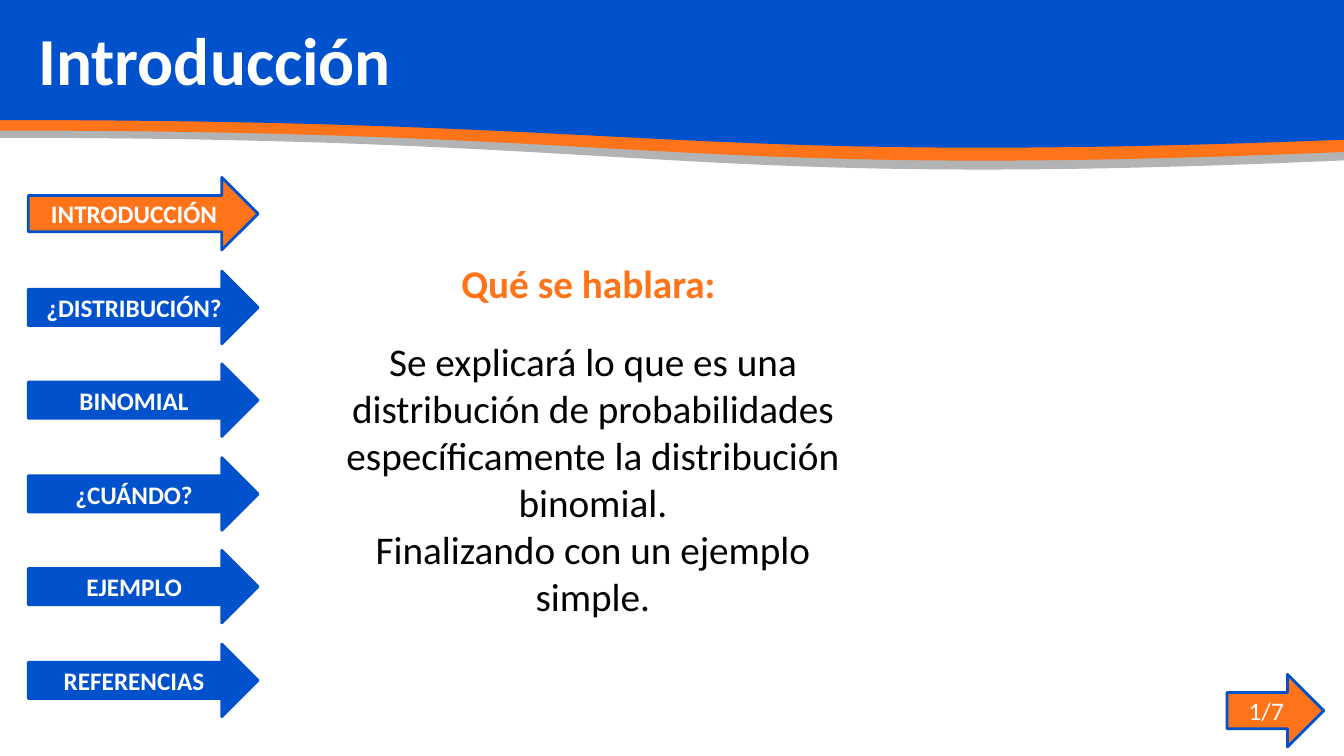
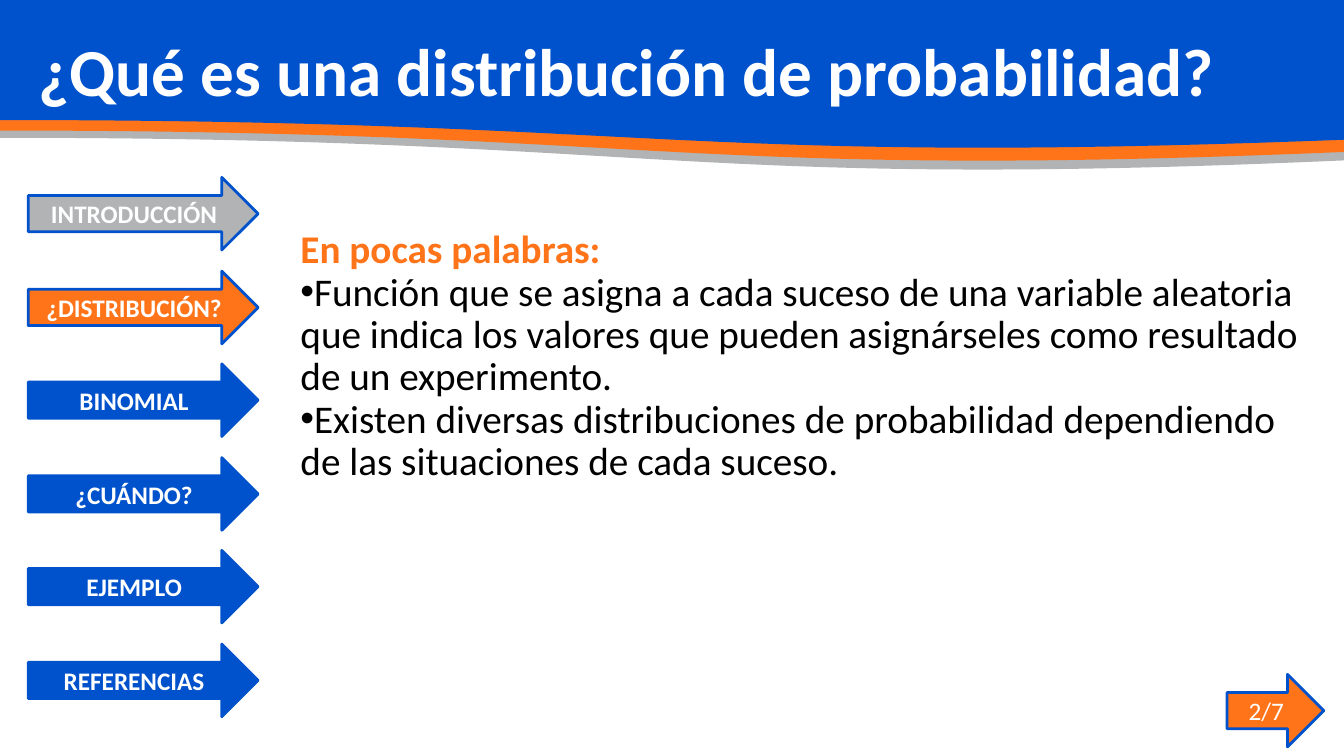
from dataclasses import dataclass
from typing import Any, NamedTuple

from lxml import etree
from pptx import Presentation
from pptx.dml.color import RGBColor
from pptx.enum.shapes import MSO_SHAPE
from pptx.enum.text import MSO_ANCHOR, MSO_AUTO_SIZE, PP_ALIGN
from pptx.oxml.ns import qn
from pptx.util import Emu, Pt

PX = 9144  # EMU per px, 100 px to the inch
FONT = "Calibri"
COLORS = {
    "blue": "0052CC",
    "orange": "FF7319",
    "gray": "B1B3B4",
    "white": "FFFFFF",
    "black": "000000",
}
ARROW = MSO_SHAPE.RIGHT_ARROW
WAVE = MSO_SHAPE.FLOWCHART_DOCUMENT
LEFT, CENTER = PP_ALIGN.LEFT, PP_ALIGN.CENTER
MIDDLE, TOP, BOTTOM = MSO_ANCHOR.MIDDLE, MSO_ANCHOR.TOP, MSO_ANCHOR.BOTTOM
NO_AUTOFIT = MSO_AUTO_SIZE.NONE
TITLE_AND_CONTENT = 1


class Box(NamedTuple):
    left: int
    top: int
    width: int
    height: int

    def emu(self) -> list[Emu]:
        return [Emu(length * PX) for length in self]


class Band(NamedTuple):
    color: str
    height: int


@dataclass(frozen=True)
class Topic:
    title: str
    title_anchor: Any
    title_spacing: float
    heading: str
    heading_gap: int
    paragraphs: tuple[str, ...]
    body_box: Box
    align: Any
    spacing: float
    bulleted: bool


SLIDE_WIDTH, SLIDE_HEIGHT = 1333, 750
BANDS = (Band("gray", 170), Band("orange", 161), Band("blue", 148))
TITLE_BOX = Box(28, 12, 1197, 102)
PAGE_BOX = Box(1217, 669, 96, 72)
PAGE_COUNT = 7
SECTIONS = ("INTRODUCCIÓN", "¿DISTRIBUCIÓN?", "BINOMIAL",
            "¿CUÁNDO?", "EJEMPLO", "REFERENCIAS")
NAV_FIRST_TOP, NAV_LAST_TOP = 176, 639

TOPICS = (
    Topic(
        title="Introducción",
        title_anchor=MIDDLE,
        title_spacing=0.9,
        heading="Qué se hablara: ",
        heading_gap=22,
        paragraphs=(
            "Se explicará lo que es una distribución de probabilidades "
            "específicamente la distribución binomial.",
            "Finalizando con un ejemplo simple.",
        ),
        body_box=Box(302, 252, 572, 476),
        align=CENTER,
        spacing=1.0,
        bulleted=False,
    ),
    Topic(
        title="¿Qué es una distribución de probabilidad?",
        title_anchor=BOTTOM,
        title_spacing=1.0,
        heading="En pocas palabras:",
        heading_gap=0,
        paragraphs=(
            "Función que se asigna a cada suceso de una variable aleatoria que "
            "indica los valores que pueden asignárseles como resultado de un "
            "experimento.",
            "Existen diversas distribuciones de probabilidad dependiendo de las "
            "situaciones de cada suceso.",
        ),
        body_box=Box(288, 223, 1025, 448),
        align=LEFT,
        spacing=0.9,
        bulleted=True,
    ),
)


def rgb(color: str) -> RGBColor:
    return RGBColor.from_string(COLORS[color])


def write(paragraph: Any, text: str, *, size: int, color: str = "white",
          bold: bool = False, align: Any = CENTER, spacing: float = 1.0,
          after: int = 0) -> None:
    paragraph.alignment = align
    paragraph.line_spacing = spacing
    paragraph.space_before = Pt(0)
    paragraph.space_after = Pt(after)
    run = paragraph.add_run()
    run.text = text
    run.font.name = FONT
    run.font.size = Pt(size)
    run.font.bold = bold
    run.font.color.rgb = rgb(color)


def set_bullet(paragraph: Any, bulleted: bool) -> None:
    """Set flush indents and a black bullet, or switch the inherited one off."""
    properties = paragraph._p.get_or_add_pPr()
    properties.set("marL", "0")
    properties.set("indent", "0")
    if not bulleted:
        etree.SubElement(properties, qn("a:buNone"))
        return
    bullet_color = etree.SubElement(properties, qn("a:buClr"))
    etree.SubElement(bullet_color, qn("a:srgbClr"), val=COLORS["black"])
    etree.SubElement(properties, qn("a:buFont"), typeface="Arial")
    etree.SubElement(properties, qn("a:buChar"), char="•")


def add_filled(slide: Any, preset: Any, box: Box, fill: str, line: str) -> Any:
    shape = slide.shapes.add_shape(preset, *box.emu())
    shape.shadow.inherit = False
    shape.fill.solid()
    shape.fill.fore_color.rgb = rgb(fill)
    shape.line.color.rgb = rgb(line)
    shape.line.width = Pt(2)
    return shape


def add_arrow(slide: Any, box: Box, label: str, fill: str, bold: bool) -> None:
    arrow = add_filled(slide, ARROW, box, fill, "blue")
    arrow.text_frame.word_wrap = True
    arrow.text_frame.vertical_anchor = MIDDLE
    write(arrow.text_frame.paragraphs[0], label, size=18, bold=bold)


def add_bands(slide: Any) -> None:
    for band in BANDS:
        box = Box(0, -1, SLIDE_WIDTH, band.height)
        wave = add_filled(slide, WAVE, box, band.color, band.color)
        wave.element.spPr.find(qn("a:xfrm")).set("flipH", "1")


def add_navigation(slide: Any, current: int) -> None:
    """Draw the section arrows: past ones gray, the current one orange."""
    for index, section in enumerate(SECTIONS):
        span = NAV_LAST_TOP - NAV_FIRST_TOP
        top = NAV_FIRST_TOP + round(index * span / (len(SECTIONS) - 1))
        if index < current:
            fill = "gray"
        else:
            fill = "orange" if index == current else "blue"
        add_arrow(slide, Box(28, top, 228, 72), section, fill, bold=True)


def place(placeholder: Any, box: Box, anchor: Any) -> Any:
    """Move a placeholder in front of the bands and return its text frame."""
    placeholder.left, placeholder.top, placeholder.width, placeholder.height = box.emu()
    placeholder.element.getparent().append(placeholder.element)
    frame = placeholder.text_frame
    frame.word_wrap = True
    frame.auto_size = NO_AUTOFIT
    frame.vertical_anchor = anchor
    return frame


def add_body(slide: Any, topic: Topic) -> None:
    frame = place(slide.placeholders[1], topic.body_box, TOP)
    heading = frame.paragraphs[0]
    write(heading, topic.heading, size=28, color="orange", bold=True,
          align=topic.align, spacing=topic.spacing, after=topic.heading_gap)
    set_bullet(heading, False)
    for text in topic.paragraphs:
        paragraph = frame.add_paragraph()
        write(paragraph, text, size=28, color="black", align=topic.align,
              spacing=topic.spacing)
        set_bullet(paragraph, topic.bulleted)


def add_topic_slide(presentation: Any, index: int, topic: Topic) -> None:
    layout = presentation.slide_layouts[TITLE_AND_CONTENT]
    slide = presentation.slides.add_slide(layout)
    add_bands(slide)
    add_navigation(slide, index)
    add_arrow(slide, PAGE_BOX, f"{index + 1}/{PAGE_COUNT}", "orange", bold=False)
    title = place(slide.shapes.title, TITLE_BOX, topic.title_anchor)
    write(title.paragraphs[0], topic.title, size=48, bold=True, align=LEFT,
          spacing=topic.title_spacing)
    add_body(slide, topic)


def main() -> None:
    presentation = Presentation()
    presentation.slide_width = Emu(SLIDE_WIDTH * PX)
    presentation.slide_height = Emu(SLIDE_HEIGHT * PX)
    for index, topic in enumerate(TOPICS):
        add_topic_slide(presentation, index, topic)
    presentation.save("out.pptx")


if __name__ == "__main__":
    main()
